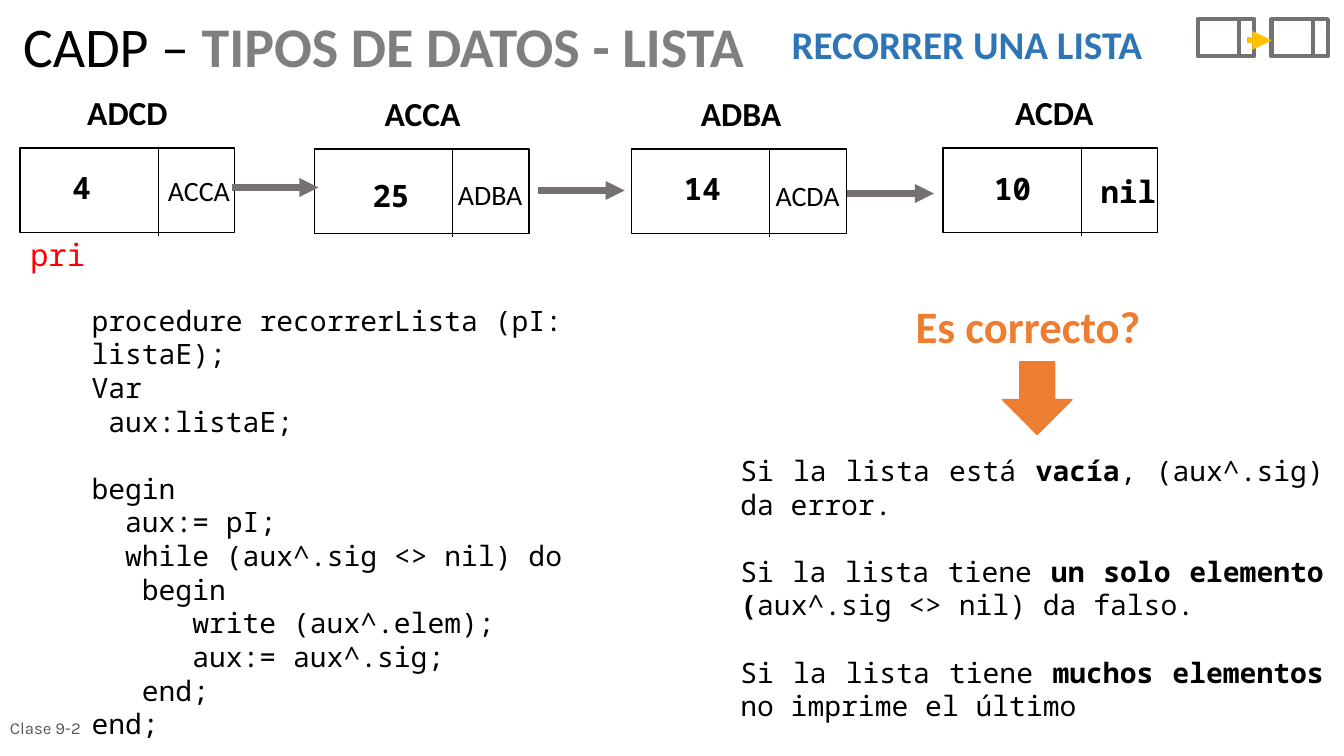
from lxml import etree
from pptx import Presentation
from pptx.dml.color import RGBColor
from pptx.enum.shapes import MSO_CONNECTOR, MSO_SHAPE
from pptx.enum.text import MSO_ANCHOR, MSO_AUTO_SIZE, PP_ALIGN
from pptx.oxml.ns import qn
from pptx.util import Inches, Pt

LEFT, CENTER, JUSTIFY = PP_ALIGN.LEFT, PP_ALIGN.CENTER, PP_ALIGN.JUSTIFY
TOP, MIDDLE = MSO_ANCHOR.TOP, MSO_ANCHOR.MIDDLE
STRAIGHT = MSO_CONNECTOR.STRAIGHT
RECT, DOWN_ARROW = MSO_SHAPE.RECTANGLE, MSO_SHAPE.DOWN_ARROW

BLACK = RGBColor(0x00, 0x00, 0x00)
RED = RGBColor(0xFF, 0x00, 0x00)
GRAY = RGBColor(0x7F, 0x7F, 0x7F)
DARK_GRAY = RGBColor(0x59, 0x59, 0x59)
WARM_GRAY = RGBColor(0x76, 0x71, 0x71)
BLUE = RGBColor(0x2E, 0x75, 0xB6)
ORANGE = RGBColor(0xED, 0x7D, 0x31)
YELLOW = RGBColor(0xFF, 0xC0, 0x00)
MONO, SANS = "Noto Sans Mono", "Calibri"

# Formats for runs of text
PLAIN = dict(name=SANS, size=Pt(20), color=BLACK)
CODE = dict(name=MONO, size=Pt(20), color=BLACK)
CODE_BOLD = dict(CODE, bold=True)
VALUE = dict(CODE_BOLD, size=Pt(22))
POINTER = dict(CODE, size=Pt(22), color=RED)
ADDRESS = dict(PLAIN, size=Pt(24), bold=True)
TOPIC = dict(PLAIN, size=Pt(28), color=BLUE, bold=True)
QUESTION = dict(PLAIN, size=Pt(32), color=ORANGE, bold=True)
TITLE = dict(PLAIN, size=Pt(40), bold=False)
TITLE_BOLD = dict(TITLE, color=GRAY, bold=True)
FOOTER = dict(name="Karla", size=Pt(12), color=DARK_GRAY)

# Content
title = [("CADP – ", TITLE), ("TIPOS DE DATOS - LISTA", TITLE_BOLD)]

# node left, top; address, left; value, left, top; next, left, top, width, format
nodes = [
    (0.2, 1.47, "ADCD", 0.4, "4", 0.62, 1.62, "ACCA", 1.55, 1.67, 0.85, PLAIN),
    (3.12, 1.48, "ACCA", 3.33, "25", 3.6, 1.7, "ADBA", 4.44, 1.71, 0.85, PLAIN),
    (6.27, 1.48, "ADBA", 6.49, "14", 6.69, 1.63, "ACDA", 7.59, 1.72, 0.85, PLAIN),
    (9.36, 1.47, "ACDA", 9.6, "10", 9.77, 1.63, "nil", 10.82, 1.66, 0.76, VALUE),
]
node_arrows = [(2.3, 1.86), (5.34, 1.89), (8.41, 1.92)]

# (indent in characters, code); None leaves a gap of one line
code = [
    (0, "procedure recorrerLista (pI: listaE);"),
    (0, "Var"),
    (1, "aux:listaE;"),
    None,
    (0, "begin"),
    (2, "aux:= pI;"),
    (2, "while (aux^.sig <> nil) do"),
    (3, "begin"),
    (6, "write (aux^.elem);"),
    (6, "aux:= aux^.sig;"),
    (3, "end;"),
    (0, "end;"),
]
cases = [
    [("Si la lista está ", CODE), ("vacía", CODE_BOLD),
     (", (aux^.sig) da error.", CODE)],
    [("Si la lista tiene ", CODE), ("un solo elemento (", CODE_BOLD),
     ("aux^.sig <> nil) da falso.", CODE)],
    [("Si la lista tiene ", CODE), ("muchos elementos", CODE_BOLD),
     (" no imprime el último", CODE)],
]
CHAR_W = Pt(12)
LINE_GAP = Pt(24)
NODE_W, NODE_H, NODE_SPLIT = 2.13, 0.84, 1.37

prs = Presentation()
prs.slide_width, prs.slide_height = Inches(13.34), Inches(7.5)
s = prs.slides.add_slide(prs.slide_layouts[5])


def add_runs(p, runs, align=LEFT):
    p.alignment = align
    for text, fmt in runs:
        r = p.add_run()
        r.text = text
        for key, value in fmt.items():
            if key == "color":
                r.font.color.rgb = value
            else:
                setattr(r.font, key, value)


def add_text(x, y, w, h, paragraphs, align=LEFT, wrap=True, anchor=TOP):
    tf = s.shapes.add_textbox(*map(Inches, (x, y, w, h))).text_frame
    tf.word_wrap, tf.vertical_anchor = wrap, anchor
    for i, runs in enumerate(paragraphs):
        add_runs(tf.add_paragraph() if i else tf.paragraphs[0], runs, align)
    return tf


def add_box(kind, x, y, w, h, color, width, fill=None):
    sp = s.shapes.add_shape(kind, *map(Inches, (x, y, w, h)))
    sp.shadow.inherit = False
    sp.line.color.rgb, sp.line.width = color, Pt(width)
    if fill is None:
        sp.fill.background()
    else:
        sp.fill.solid()
        sp.fill.fore_color.rgb = fill


def add_line(x1, y1, x2, y2, color, width, arrow=False):
    c = s.shapes.add_connector(STRAIGHT, *map(Inches, (x1, y1, x2, y2)))
    c.line.color.rgb, c.line.width = color, Pt(width)
    if arrow:
        ln = c.line._get_or_add_ln()
        etree.SubElement(ln, qn("a:tailEnd"), type="triangle")
    etree.SubElement(c._element.spPr, qn("a:effectLst"))


# Title and topic
sp = s.shapes.title
sp.left, sp.top, sp.width, sp.height = map(Inches, (0.13, 0.14, 8.74, 0.76))
tf = sp.text_frame
tf.auto_size, tf.vertical_anchor, tf.word_wrap = MSO_AUTO_SIZE.NONE, TOP, True
add_runs(tf.paragraphs[0], title)
tf.paragraphs[0].line_spacing = 0.9
add_text(7.76, 0.15, 3.86, 0.57, [[("RECORRER UNA LISTA", TOPIC)]], JUSTIFY)

# Linked nodes
for x, y, address, ax, value, vx, vy, link, lx, ly, lw, link_fmt in nodes:
    add_box(RECT, x, y, NODE_W, NODE_H, BLACK, 1)
    add_line(x + NODE_SPLIT, y, x + NODE_SPLIT, y + 0.87, BLACK, 0.5)
    add_text(ax, y - 0.61, 1.73, 0.5, [[(address, ADDRESS)]], CENTER)
    value_w = 0.2 + 0.2 * len(value)
    add_text(vx, vy, value_w, 0.47, [[(value, VALUE)]], wrap=False)
    add_text(lx, ly, lw, 0.44, [[(link, link_fmt)]], CENTER, wrap=False)
for x, y in node_arrows:
    add_line(x, y, x + 0.86, y, WARM_GRAY, 4.5, arrow=True)
add_text(0.2, 2.29, 0.94, 0.47, [[("pri", POINTER)]])

# Procedure
lines = [line for line in code if line]
tf = add_text(0.81, 2.96, 5.99, 4.44, [[(text, CODE)] for _, text in lines])
for p, (indent, _) in zip(tf.paragraphs, lines):
    p._p.get_or_add_pPr().set("marL", str(indent * CHAR_W))
tf.paragraphs[code.index(None)].space_before = LINE_GAP

# Question and the cases that answer it
add_text(8.44, 2.91, 3.53, 0.64, [[("Es correcto?", QUESTION)]], CENTER)
add_box(DOWN_ARROW, 9.95, 3.59, 0.69, 0.72, ORANGE, 1, fill=ORANGE)
tf = add_text(7.25, 4.45, 5.99, 2.77, cases, JUSTIFY)
for p in tf.paragraphs[1:]:
    p.space_before = LINE_GAP

# Small linked-list icon
for x in (11.89, 12.62):
    add_box(RECT, x, 0.19, 0.56, 0.37, WARM_GRAY, 3)
    add_line(x + 0.41, 0.19, x + 0.41, 0.57, WARM_GRAY, 3)
add_line(12.38, 0.4, 12.62, 0.4, YELLOW, 4.5, arrow=True)

# Footer
add_text(0, 7.02, 2.33, 0.4, [[("Clase 9-2", FOOTER)]], anchor=MIDDLE)

prs.save("out.pptx")
